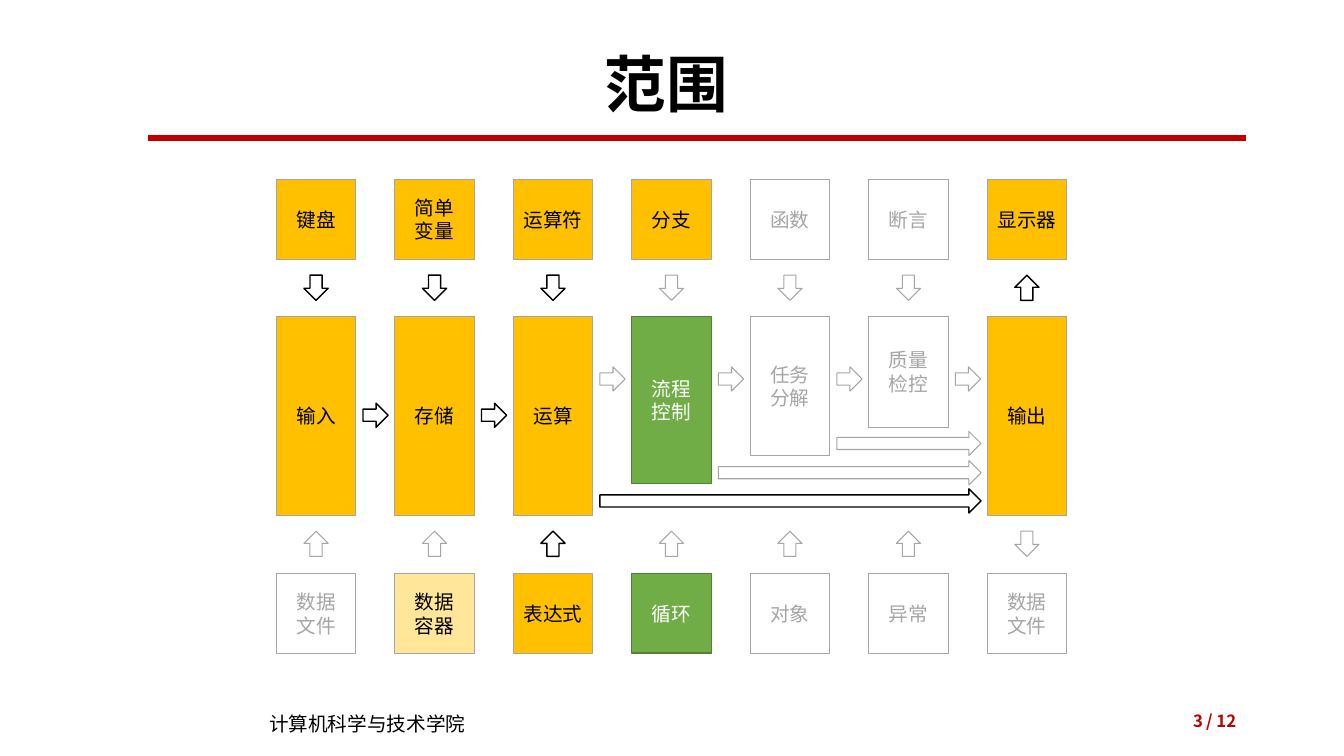
from lxml import etree
from pptx import Presentation
from pptx.dml.color import RGBColor
from pptx.enum.shapes import MSO_CONNECTOR, MSO_SHAPE
from pptx.enum.text import MSO_ANCHOR, PP_ALIGN
from pptx.oxml.ns import qn
from pptx.util import Inches, Pt

RECT = MSO_SHAPE.RECTANGLE
DOWN, UP, RIGHT = MSO_SHAPE.DOWN_ARROW, MSO_SHAPE.UP_ARROW, MSO_SHAPE.RIGHT_ARROW
LEFT_ALIGN, CENTER, RIGHT_ALIGN = PP_ALIGN.LEFT, PP_ALIGN.CENTER, PP_ALIGN.RIGHT
TOP, MIDDLE = MSO_ANCHOR.TOP, MSO_ANCHOR.MIDDLE
CJK = "Noto Sans CJK SC"

COLORS = {
    "black": "000000", "white": "FFFFFF", "red": "C00000", "gray": "A5A5A5",
    "gold": "FFC000", "cream": "FFE699", "green": "70AD47", "forest": "538035",
}
STYLES = {
    "known": ("gold", "gray", 0.75, "black"),
    "partial": ("cream", "gray", 0.75, "black"),
    "current": ("green", "forest", 1, "white"),
    "later": (None, "gray", 0.75, "gray"),
    "active": ("white", "black", 1, "black"),
}


def set_text(tf, text, size, color, align, anchor=MIDDLE, bold=False, font=CJK):
    tf.text = text
    tf.word_wrap = True
    tf.vertical_anchor = anchor
    for p in tf.paragraphs:
        p.alignment = align
        for r in p.runs:
            r.font.name = font
            r.font.size = Pt(size)
            r.font.bold = bold
            r.font.color.rgb = RGBColor.from_string(COLORS[color])
            etree.SubElement(r.font._element, qn("a:ea"), typeface=CJK)


def add_block(kind, x, y, w, h, style, text=None):
    fill, line, width, color = STYLES[style]
    sp = slide.shapes.add_shape(kind, Inches(x), Inches(y), Inches(w), Inches(h))
    sp.shadow.inherit = False
    if fill:
        sp.fill.solid()
        sp.fill.fore_color.rgb = RGBColor.from_string(COLORS[fill])
    else:
        sp.fill.background()
    sp.line.color.rgb = RGBColor.from_string(COLORS[line])
    sp.line.width = Pt(width)
    if text:
        sp.text_frame.margin_left = sp.text_frame.margin_right = Inches(0.05)
        set_text(sp.text_frame, text, 14, color, CENTER)


prs = Presentation()
prs.slide_width, prs.slide_height = Inches(13.33), Inches(7.5)
slide = prs.slides.add_slide(prs.slide_layouts[5])

title = slide.shapes.title
title.left, title.top = Inches(0.86), Inches(0.4)
title.width, title.height = Inches(11.5), Inches(0.94)
set_text(title.text_frame, "范围", 44, "black", CENTER, bold=True, font="Calibri")
title.text_frame.paragraphs[0].line_spacing = 0.9

rule = slide.shapes.add_connector(
    MSO_CONNECTOR.STRAIGHT, Inches(1.47), Inches(1.37), Inches(12.36), Inches(1.37))
rule.line.color.rgb = RGBColor.from_string(COLORS["red"])
rule.line.width = Pt(4.5)
etree.SubElement(rule._element.spPr, qn("a:effectLst"))

footers = [
    ("计算机科学与技术学院", 2.57, 7.01, 2.92, 0.34, 14, "black", LEFT_ALIGN, TOP, False),
    ("3", 9.42, 6.95, 2.61, 0.4, 12, "red", RIGHT_ALIGN, MIDDLE, True),
    ("/ 12", 11.61, 6.95, 0.75, 0.4, 12, "red", RIGHT_ALIGN, MIDDLE, True),
]
for text, x, y, w, h, size, color, align, anchor, bold in footers:
    box = slide.shapes.add_textbox(Inches(x), Inches(y), Inches(w), Inches(h))
    set_text(box.text_frame, text, size, color, align, anchor, bold)

LEFT, PITCH, SIDE = 2.74, 1.175, 0.79
ARROW_W, ARROW_L = 0.24, 0.25
ARROW_X = (SIDE - ARROW_W) / 2
FLOW_X = 0.86
FLOW_END = 9.73

columns = [
    (("键盘", "known"), ("输入", "known", 1.97), ("数据\n文件", "later")),
    (("简单\n变量", "known"), ("存储", "known", 1.97), ("数据\n容器", "partial")),
    (("运算符", "known"), ("运算", "known", 1.97), ("表达式", "known")),
    (("分支", "known"), ("流程\n控制", "current", 1.66), ("循环", "current")),
    (("函数", "later"), ("任务\n分解", "later", 1.38), ("对象", "later")),
    (("断言", "later"), ("质量\n检控", "later", 1.1), ("异常", "later")),
    (("显示器", "known"), ("输出", "known", 1.97), ("数据\n文件", "later")),
]
top_arrows = ["active"] * 3 + ["later"] * 3 + ["active"]
bottom_arrows = ["later"] * 2 + ["active"] + ["later"] * 4
last = len(columns) - 1

for i, (upper, stage, lower) in enumerate(columns):
    x = LEFT + i * PITCH
    inward, outward = (UP, DOWN) if i == last else (DOWN, UP)
    add_block(RECT, x, 1.78, SIDE, SIDE, upper[1], upper[0])
    add_block(RECT, x, 3.14, SIDE, stage[2], stage[1], stage[0])
    add_block(RECT, x, 5.69, SIDE, SIDE, lower[1], lower[0])
    add_block(inward, x + ARROW_X, 2.73, ARROW_W, ARROW_L, top_arrows[i])
    add_block(outward, x + ARROW_X, 5.27, ARROW_W, ARROW_L, bottom_arrows[i])
    if i < last:
        y, style = (4.0, "active") if i < 2 else (3.64, "later")
        add_block(RIGHT, x + FLOW_X, y, ARROW_L, ARROW_W, style)

for i, y, style in [(2, 4.85, "active"), (3, 4.57, "later"), (4, 4.28, "later")]:
    x = LEFT + i * PITCH + FLOW_X
    add_block(RIGHT, x, y, FLOW_END - x, ARROW_W, style)

prs.save("out.pptx")
